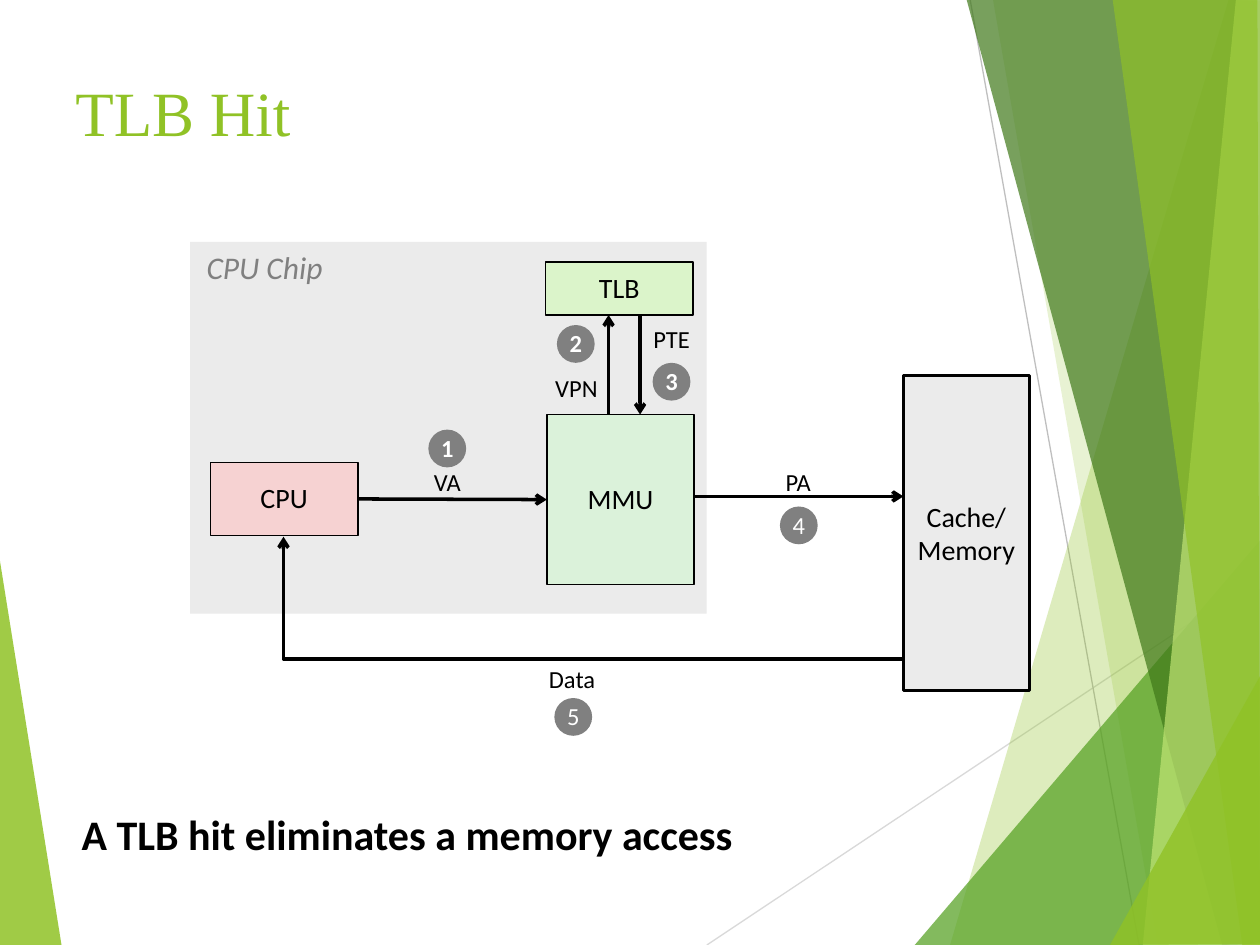
from lxml import etree
from pptx import Presentation
from pptx.dml.color import RGBColor
from pptx.enum.shapes import MSO_CONNECTOR, MSO_SHAPE
from pptx.enum.text import MSO_ANCHOR, MSO_AUTO_SIZE, PP_ALIGN
from pptx.oxml.ns import qn
from pptx.util import Inches, Pt

RECTANGLE, OVAL = MSO_SHAPE.RECTANGLE, MSO_SHAPE.OVAL
STRAIGHT, ELBOW = MSO_CONNECTOR.STRAIGHT, MSO_CONNECTOR.ELBOW
TOP, MIDDLE = MSO_ANCHOR.TOP, MSO_ANCHOR.MIDDLE
LEFT, CENTER = PP_ALIGN.LEFT, PP_ALIGN.CENTER

COLORS = {
    "lime": "90C226", "green": "54A021", "forest": "3F7819", "pale": "C0E474",
    "light_line": "D9D9D9", "mid_line": "BFBFBF", "panel": "EBEBEB",
    "mmu": "DBF2DA", "cpu": "F6D2D2", "tlb": "DBF4CA",
    "grey": "808080", "black": "000000", "white": "FFFFFF",
}

# colour, opacity in percent, corner points
FACETS = [
    ("lime", 30, [(9.75, 0), (7.54, 7.5), (10.02, 7.51), (10.01, 0.01)]),
    ("lime", 20, [(7.88, -0.01), (9.19, 7.5), (10.01, 7.5), (10.01, -0.01)]),
    ("green", 72, [(7.26, 7.5), (10, 4.29), (10.01, 7.5)]),
    ("forest", 70, [(7.67, -0.01), (9.7, 7.5), (10.01, 7.49), (10.01, -0.01)]),
    ("pale", 70, [(9.81, -0.01), (9.07, 7.5), (10.01, 7.5), (10, -0.01)]),
    ("lime", 65, [(8.83, -0.01), (9.86, 7.5), (10, 7.5), (9.98, -0.01)]),
    ("lime", 80, [(8.81, 7.5), (10.01, 5.35), (10.01, 7.49)]),
]
LEFT_FACET = ("lime", 85, [(-0.01, 4.39), (0.49, 7.51), (-0.01, 7.5)])

# text, left, top, width
LABELS = [
    ("PA", 6.13, 3.67, 0.41),
    ("Data", 4.25, 5.23, 0.58),
    ("VA", 3.34, 3.67, 0.42),
    ("PTE", 5.08, 2.53, 0.5),
    ("VPN", 4.3, 2.92, 0.55),
]

# number, left, top, bold
STEPS = [
    ("1", 3.4, 3.41, True),
    ("2", 4.42, 2.58, True),
    ("3", 5.18, 2.88, True),
    ("4", 6.19, 4.02, False),
    ("5", 4.4, 5.54, False),
]


def rgb(name):
    return RGBColor.from_string(COLORS[name])


def write(shape, lines, size, color="black", font="Calibri", bold=False,
          italic=False, align=CENTER, anchor=MIDDLE, wrap=False, spacing=None):
    frame = shape.text_frame
    frame.word_wrap = wrap
    frame.vertical_anchor = anchor
    frame.text = "\n".join(lines)
    for para in frame.paragraphs:
        para.alignment = align
        if spacing:
            para.line_spacing = spacing
        para.font.name = font
        para.font.size = Pt(size)
        para.font.bold = bold
        para.font.italic = italic
        para.font.color.rgb = rgb(color)


def add_text(page, at, lines, size, grow=False, **style):
    box = page.shapes.add_textbox(*map(Inches, at))
    write(box, lines, size, **style)
    if grow:
        box.text_frame.auto_size = MSO_AUTO_SIZE.SHAPE_TO_FIT_TEXT
    return box


def add_block(page, kind, at, fill, line_width=None):
    block = page.shapes.add_shape(kind, *map(Inches, at))
    block.shadow.inherit = False
    block.fill.solid()
    block.fill.fore_color.rgb = rgb(fill)
    if line_width:
        block.line.color.rgb = rgb("black")
        block.line.width = Pt(line_width)
    else:
        block.line.fill.background()
    return block


def add_facet(page, color, opacity, points):
    """Add a translucent polygon of the page decoration."""
    corners = [(Inches(x), Inches(y)) for x, y in points]
    builder = page.shapes.build_freeform(*corners[0])
    builder.add_line_segments(corners[1:], close=True)
    facet = builder.convert_to_shape()
    facet.shadow.inherit = False
    facet.fill.solid()
    facet.fill.fore_color.rgb = rgb(color)
    facet.line.fill.background()
    tint = facet._element.spPr.find(qn("a:solidFill"))[0]
    etree.SubElement(tint, qn("a:alpha"), val=str(opacity * 1000))


def add_line(page, start, end, color="black", width=2, arrow=True, kind=STRAIGHT):
    line = page.shapes.add_connector(kind, *map(Inches, (*start, *end)))
    line.line.color.rgb = rgb(color)
    line.line.width = Pt(width)
    if arrow:
        etree.SubElement(line.line._get_or_add_ln(), qn("a:tailEnd"), type="arrow")
    etree.SubElement(line._element.spPr, qn("a:effectLst"))
    return line


def add_return_path(page):
    """Add the one-corner arrow that carries data from memory back to the CPU."""
    path = add_line(page, (2.25, 4.26), (7.17, 5.23), kind=ELBOW)
    properties = path._element.spPr
    properties.find(qn("a:prstGeom")).set("prst", "bentConnector2")
    properties.find(qn("a:xfrm")).set("rot", str(180 * 60000))


def add_decoration(page):
    add_facet(page, *LEFT_FACET)
    add_line(page, (5.61, 7.5), (10.01, 4.57), "light_line", 0.75, arrow=False)
    add_line(page, (7.7, 0), (9.04, 7.5), "mid_line", 0.75, arrow=False)
    for facet in FACETS:
        add_facet(page, *facet)


def add_diagram(page):
    add_block(page, RECTANGLE, (1.51, 1.92, 4.1, 2.95), "panel")
    add_text(page, (1.52, 1.92, 1.16, 0.4), ["CPU Chip"], 18, grow=True,
             color="grey", italic=True, anchor=TOP)

    mmu = add_block(page, RECTANGLE, (4.34, 3.29, 1.17, 1.35), "mmu", 1)
    write(mmu, ["MMU"], 16, spacing=0.98)
    memory = add_block(page, RECTANGLE, (7.17, 2.98, 1, 2.5), "panel", 1.5)
    write(memory, ["Cache/", "Memory"], 16)
    cpu = add_block(page, RECTANGLE, (1.67, 3.67, 1.17, 0.58), "cpu", 1)
    write(cpu, ["CPU"], 16, spacing=0.98)
    tlb = add_block(page, RECTANGLE, (4.33, 2.08, 1.17, 0.42), "tlb", 1)
    write(tlb, ["TLB"], 16, spacing=0.98)

    address = add_line(page, (2.84, 3.96), (4.34, 3.96))
    address.begin_connect(cpu, 3)
    address.end_connect(mmu, 1)
    add_line(page, (5.5, 3.94), (7.17, 3.94))
    add_line(page, (4.83, 3.29), (4.83, 2.5))
    add_line(page, (5.08, 2.5), (5.08, 3.29))
    add_return_path(page)

    for text, left, top, width in LABELS:
        add_text(page, (left, top, width, 0.33), [text], 14, grow=True, spacing=0.98)
    for number, left, top, bold in STEPS:
        step = add_block(page, OVAL, (left, top, 0.3, 0.3), "grey")
        write(step, [number], 14, color="white", bold=bold, spacing=0.98)


def main():
    deck = Presentation()
    deck.slide_width, deck.slide_height = Inches(10), Inches(7.5)
    page = deck.slides.add_slide(deck.slide_layouts[6])
    add_decoration(page)
    title = add_text(page, (0.5, 0.48, 9.53, 0.86), ["TLB Hit"], 36, color="lime",
                     font="Times New Roman", align=LEFT, anchor=TOP, wrap=True)
    title.text_frame.margin_top = Inches(0.1)
    add_diagram(page)
    add_text(page, (0.55, 6.37, 7.86, 0.63), ["A TLB hit eliminates a memory access"],
             24, bold=True, align=LEFT, anchor=TOP, wrap=True)
    deck.save("out.pptx")


if __name__ == "__main__":
    main()
